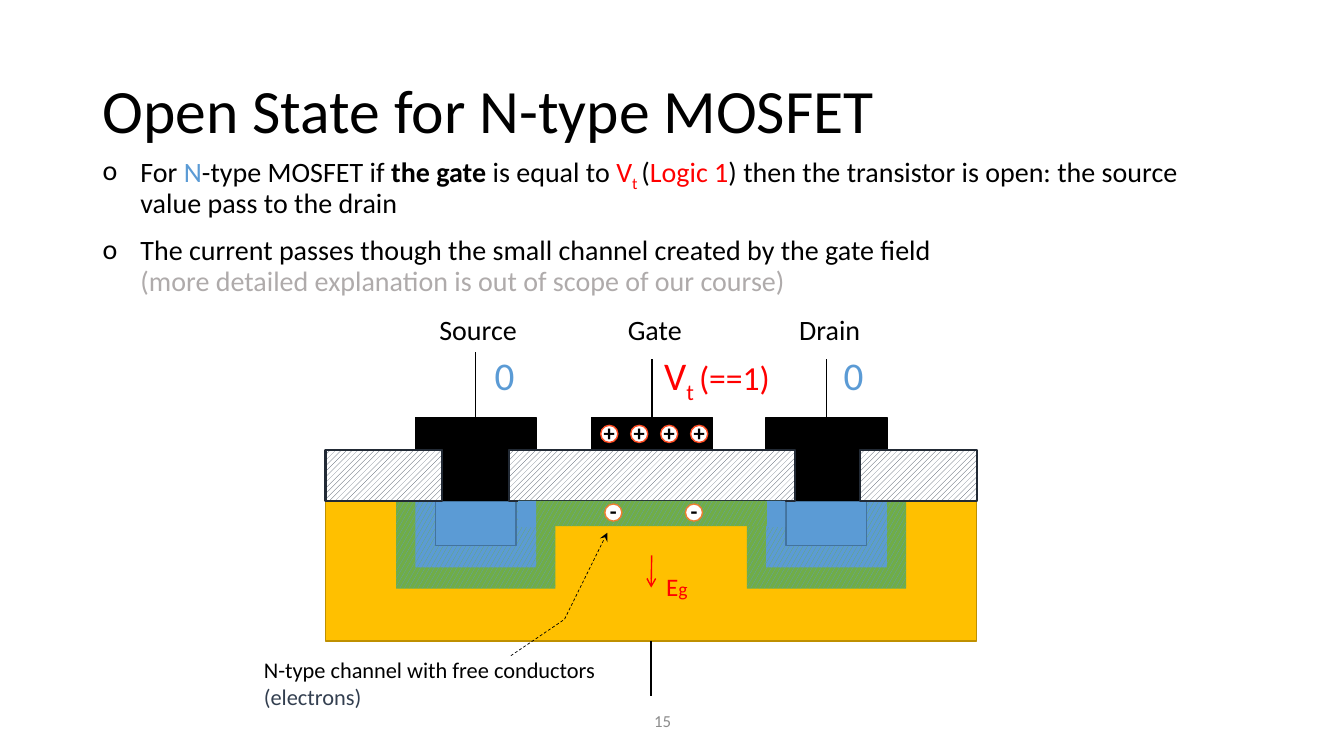
from dataclasses import dataclass
from typing import NamedTuple, Optional

from lxml import etree
from pptx import Presentation
from pptx.dml.color import RGBColor
from pptx.enum.dml import MSO_LINE, MSO_PATTERN
from pptx.enum.shapes import MSO_CONNECTOR, MSO_SHAPE
from pptx.enum.text import MSO_ANCHOR, MSO_AUTO_SIZE, PP_ALIGN
from pptx.oxml.ns import qn
from pptx.util import Pt

RECT, OVAL = MSO_SHAPE.RECTANGLE, MSO_SHAPE.OVAL
CALLOUT = MSO_SHAPE.LINE_CALLOUT_2_NO_BORDER
CONFETTI = MSO_PATTERN.LARGE_CONFETTI
HATCH = MSO_PATTERN.WIDE_UPWARD_DIAGONAL
STRAIGHT = MSO_CONNECTOR.STRAIGHT
DASH = MSO_LINE.DASH
TOP, MIDDLE = MSO_ANCHOR.TOP, MSO_ANCHOR.MIDDLE
CENTER = PP_ALIGN.CENTER
FIT_SHAPE = MSO_AUTO_SIZE.SHAPE_TO_FIT_TEXT

BLACK = RGBColor(0x00, 0x00, 0x00)
WHITE = RGBColor(0xFF, 0xFF, 0xFF)
RED = RGBColor(0xFF, 0x00, 0x00)
BLUE = RGBColor(0x5B, 0x9B, 0xD5)
DARK_BLUE = RGBColor(0x43, 0x73, 0x9E)
GREEN = RGBColor(0x70, 0xAD, 0x47)
GOLD = RGBColor(0xFF, 0xC0, 0x00)
DARK_GOLD = RGBColor(0xBF, 0x90, 0x00)
SLATE = RGBColor(0x33, 0x3F, 0x50)
DARK_SLATE = RGBColor(0x22, 0x2A, 0x35)
ORANGE = RGBColor(0xED, 0x7D, 0x31)
VERMILION = RGBColor(0xFF, 0x4F, 0x25)
GREY = RGBColor(0xAF, 0xAB, 0xAB)
PAGE_GREY = RGBColor(0x8C, 0x8C, 0x8C)

FONT = "Calibri"
SURFACE = 357.84
ELECTRODE_TOP = 298.08
CARRIER = 12.24


class Run(NamedTuple):
    text: str
    size: float
    color: RGBColor = BLACK
    bold: bool = False
    baseline: int = 0


class Box(NamedTuple):
    x: float
    y: float
    w: float
    h: float


class Pattern(NamedTuple):
    kind: MSO_PATTERN
    fore: RGBColor
    back: RGBColor


@dataclass
class Terminal:
    name: str
    x: float
    lead_top: float
    label: Box
    diffused: bool


JUNCTION = Pattern(CONFETTI, BLUE, GREEN)
WELL = Pattern(CONFETTI, GREEN, BLUE)
OXIDE = Pattern(HATCH, SLATE, WHITE)

TERMINALS = [
    Terminal("Source", 339.84, 251.28, Box(306.72, 219.6, 69.84, 31.68), True),
    Terminal("Gate", 465.84, 256.32, Box(441.36, 219.6, 54, 31.68), False),
    Terminal("Drain", 590.4, 256.32, Box(563.76, 219.6, 59.04, 31.68), True),
]

BULLETS = [
    [Run("For ", 20), Run("N", 20, BLUE), Run("-type MOSFET if ", 20),
     Run("the gate ", 20, bold=True), Run("is equal to ", 20), Run("V", 20, RED),
     Run("t ", 20, RED, baseline=-25), Run("(", 20), Run("Logic 1", 20, RED),
     Run(") then the transistor is open: the source value pass to the drain", 20)],
    [Run("The current passes though the small channel created by the gate field ", 20),
     Run("\n", 20),
     Run("(more detailed explanation is out of scope of our course)", 20, GREY)],
]


def add_runs(p, runs: list[Run]) -> None:
    for run in runs:
        if run.text == "\n":
            p.add_line_break()
            continue
        r = p.add_run()
        r.text = run.text
        r.font.name = FONT
        r.font.size = Pt(run.size)
        r.font.bold = run.bold
        r.font.color.rgb = run.color
        if run.baseline:
            r.font._element.set("baseline", str(run.baseline * 1000))


def add_text(s, box: Box, runs: list[Run], wrap: bool = True, anchor=TOP, fit: bool = False):
    tf = s.shapes.add_textbox(*map(Pt, box)).text_frame
    tf.word_wrap = wrap
    tf.vertical_anchor = anchor
    if fit:
        tf.auto_size = FIT_SHAPE
    add_runs(tf.paragraphs[0], runs)
    return tf


def add_bullets(s, box: Box, items: list[list[Run]]) -> None:
    tf = add_text(s, box, [])
    for i, runs in enumerate(items):
        p = tf.paragraphs[0] if i == 0 else tf.add_paragraph()
        pPr = p._p.get_or_add_pPr()
        pPr.set("marL", str(Pt(27)))
        pPr.set("indent", str(Pt(-27)))
        etree.SubElement(pPr, qn("a:buFont"), typeface=FONT)
        etree.SubElement(pPr, qn("a:buChar"), char="o")
        p.line_spacing = 0.9
        if i:
            p.space_before = Pt(12)
        add_runs(p, runs)


def add_block(s, box: Box, fill: RGBColor | Pattern, line: Optional[RGBColor] = None,
              width: float = 1, kind=RECT):
    sp = s.shapes.add_shape(kind, *map(Pt, box))
    sp.shadow.inherit = False
    if isinstance(fill, Pattern):
        sp.fill.patterned()
        sp.fill.pattern = fill.kind
        sp.fill.fore_color.rgb = fill.fore
        sp.fill.back_color.rgb = fill.back
    else:
        sp.fill.solid()
        sp.fill.fore_color.rgb = fill
    if line is None:
        sp.line.fill.background()
    else:
        sp.line.color.rgb = line
        sp.line.width = Pt(width)
    return sp


def add_line(s, x1: float, y1: float, x2: float, y2: float, color: RGBColor = BLACK):
    cn = s.shapes.add_connector(STRAIGHT, Pt(x1), Pt(y1), Pt(x2), Pt(y2))
    cn.line.color.rgb = color
    cn.line.width = Pt(1)
    etree.SubElement(cn._element.spPr, qn("a:effectLst"))
    return cn


def add_carrier(s, x: float, y: float, sign: str, line: RGBColor, bottom: float) -> None:
    sp = add_block(s, Box(x, y, CARRIER, CARRIER), WHITE, line, kind=OVAL)
    tf = sp.text_frame
    tf.margin_left = tf.margin_right = tf.margin_top = 0
    tf.margin_bottom = Pt(bottom)
    tf.word_wrap = False
    tf.vertical_anchor = MIDDLE
    tf.paragraphs[0].alignment = CENTER
    add_runs(tf.paragraphs[0], [Run(sign, 16, bold=True)])


def add_callout(s, box: Box, adjustments: list[float], runs: list[Run]) -> None:
    sp = add_block(s, box, WHITE, BLACK, 0.5, CALLOUT)
    sp.fill.background()
    for i, value in enumerate(adjustments):
        sp.adjustments[i] = value
    sp.line.dash_style = DASH
    etree.SubElement(sp.get_or_add_ln(), qn("a:tailEnd"), type="stealth")
    tf = sp.text_frame
    tf.word_wrap = True
    tf.vertical_anchor = TOP
    tf.paragraphs[0].alignment = PP_ALIGN.LEFT
    add_runs(tf.paragraphs[0], runs)


def add_transistor(s) -> None:
    add_block(s, Box(232.56, SURFACE, 465.12, 100.08), GOLD, DARK_GOLD)
    for t in TERMINALS:
        add_line(s, t.x, ELECTRODE_TOP, t.x, t.lead_top)
        add_text(s, t.label, [Run(t.name, 20)], wrap=False, fit=True)
        if t.diffused:
            for w, h, fill, line in [(113.76, 62.64, JUNCTION, None), (86.4, 47.52, WELL, None),
                                     (57.6, 31.68, BLUE, DARK_BLUE)]:
                add_block(s, Box(t.x - w / 2, SURFACE, w, h), fill, line)
        add_block(s, Box(t.x - 43.2, ELECTRODE_TOP, 86.4, 59.04), BLACK, BLACK)
    add_line(s, 465.12, 457.92, 465.12, 496.8)
    for x, w in [(232.56, 83.52), (614.16, 83.52), (363.6, 204.48)]:
        add_block(s, Box(x, 321.12, w, 36.72), OXIDE, DARK_SLATE, 1.5)
    for i in range(4):
        add_carrier(s, 429.12 + 21.4 * i, 303.84, "+", VERMILION, 1.44)
    add_block(s, Box(370.08, SURFACE, 187.92, 18), JUNCTION)
    for x in (547.92, 370.08):
        add_block(s, Box(x, SURFACE, 12.96, 18.72), BLUE)
    for x in (432, 489.6):
        add_carrier(s, x, 360, "-", ORANGE, 2.16)


def main() -> None:
    prs = Presentation()
    prs.slide_width, prs.slide_height = Pt(960), Pt(540)
    s = prs.slides.add_slide(prs.slide_layouts[6])
    add_text(s, Box(460.08, 500.4, 56.88, 28.8), [Run("15", 12, PAGE_GREY)], anchor=MIDDLE)
    title = add_text(s, Box(66.24, 28.8, 828, 104.4),
                     [Run("Open State for N-type MOSFET", 44)], anchor=MIDDLE)
    title.paragraphs[0].line_spacing = 0.9
    add_bullets(s, Box(66.24, 107.28, 819.36, 78.48), BULLETS)
    add_transistor(s)
    add_text(s, Box(467.28, 247.68, 100.8, 41.04),
             [Run("V", 28, RED), Run("t ", 28, RED, baseline=-25), Run("(==1)", 24, RED)], fit=True)
    for x in (346.32, 595.44):
        add_text(s, Box(x, 247.68, 30.24, 41.04), [Run("0", 28, BLUE)], wrap=False, fit=True)
    add_callout(s, Box(181.44, 465.12, 254.88, 32.4), [0.1, 0.72, -0.7, 0.87, -2.61, 0.99],
                [Run("N-type channel with free conductors ", 16), Run("(electrons)", 16, SLATE)])
    field = add_line(s, 465.48, 396.72, 465.12, 419.76, RED)
    etree.SubElement(field.get_or_add_ln(), qn("a:tailEnd"), type="arrow")
    add_text(s, Box(468.72, 404.64, 30.24, 28.8), [Run("E", 18, RED), Run("g", 14, RED)],
             wrap=False, fit=True)
    prs.save("out.pptx")


if __name__ == "__main__":
    main()
